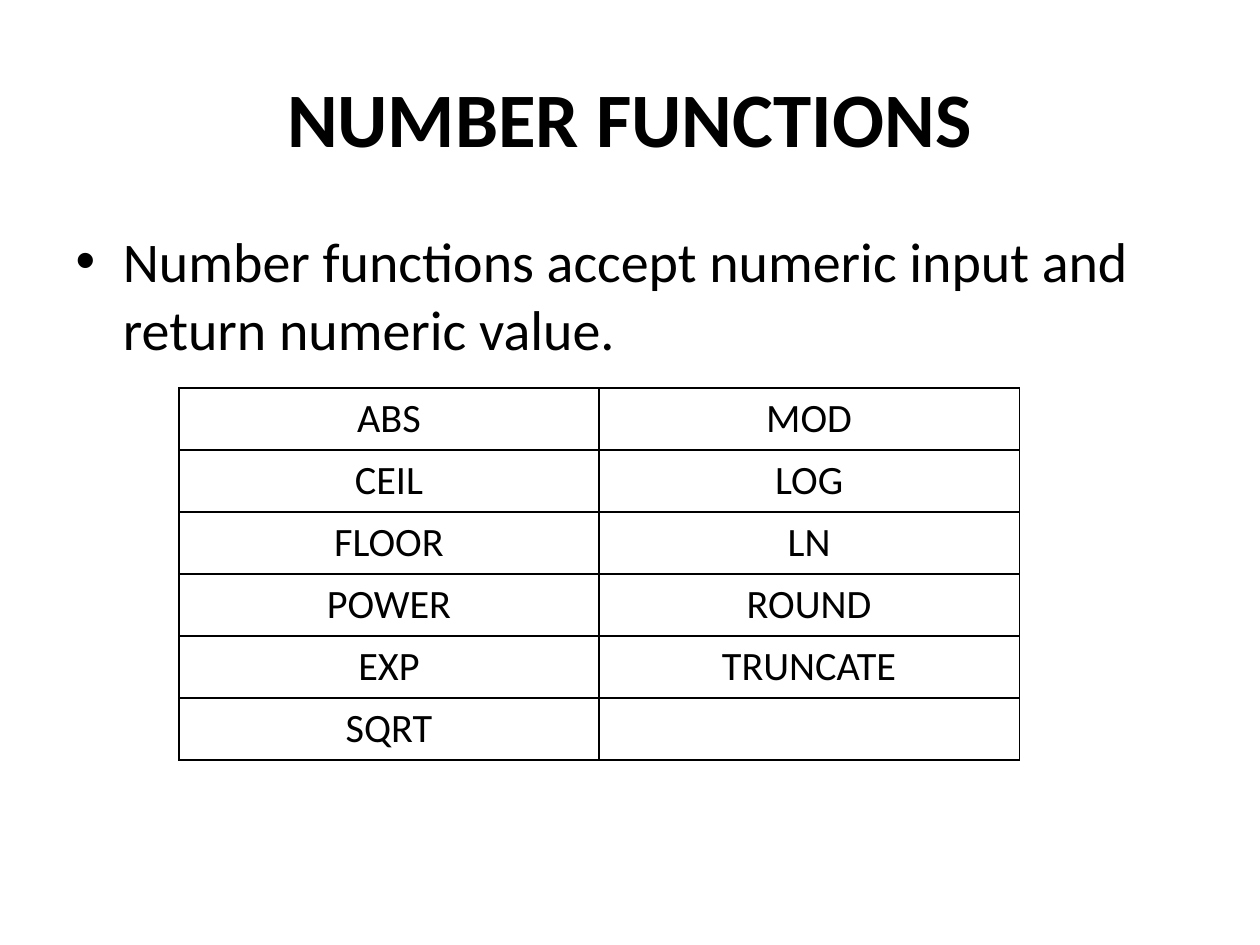
import pptx
import pptx.util
import pptx.dml.color
import pptx.enum.text
import pptx.oxml
import pptx.oxml.ns
from pptx.util import Inches

INK = {"text": "000000", "line": "000000", "back": "FFFFFF"}
ROWS = [
    ("ABS", "MOD"),
    ("CEIL", "LOG"),
    ("FLOOR", "LN"),
    ("POWER", "ROUND"),
    ("EXP", "TRUNCATE"),
    ("SQRT", ""),
]
ALIGN = pptx.enum.text.PP_ALIGN
ANCHOR = pptx.enum.text.MSO_ANCHOR


def color(name):
    return pptx.dml.color.RGBColor.from_string(INK[name])


class Deck:
    face = "Calibri"

    def __init__(self, wide, high):
        self.file = pptx.Presentation()
        self.file.slide_width = Inches(wide)
        self.file.slide_height = Inches(high)
        self.slide = self.file.slides.add_slide(self.file.slide_layouts[1])
        fill = self.slide.background.fill
        fill.solid()
        fill.fore_color.rgb = color("back")

    def style(self, para, size, align, bold=False):
        para.alignment = align
        font = para.font
        font.name, font.size, font.bold = self.face, pptx.util.Pt(size), bold
        font.color.rgb = color("text")

    def place(self, shape, box):
        shape.left, shape.top, shape.width, shape.height = map(Inches, box)

    def title(self, text, box):
        shape = self.slide.shapes.title
        self.place(shape, box)
        frame = shape.text_frame
        frame.text = text
        frame.vertical_anchor = ANCHOR.MIDDLE
        self.style(frame.paragraphs[0], 44, ALIGN.CENTER, bold=True)

    def body(self, items, box):
        shape = self.slide.placeholders[1]
        self.place(shape, box)
        frame = shape.text_frame
        frame.text = "\n".join(items)
        for para in frame.paragraphs:
            self.style(para, 32, ALIGN.LEFT)

    def border(self, cell):
        props = cell._tc.get_or_add_tcPr()
        space = pptx.oxml.ns.nsdecls("a")
        for spot, side in enumerate("LRTB"):
            line = pptx.oxml.parse_xml(
                f'<a:ln{side} {space} w="12700"><a:solidFill>'
                f'<a:srgbClr val="{INK["line"]}"/></a:solidFill></a:ln{side}>'
            )
            props.insert(spot, line)

    def table(self, rows, left, top, width, step):
        frame = self.slide.shapes.add_table(
            len(rows), len(rows[0]), Inches(left), Inches(top),
            Inches(width), Inches(step * len(rows)),
        )
        grid = frame.table
        grid.first_row = grid.horz_banding = False
        for r, row in enumerate(rows):
            for c, text in enumerate(row):
                cell = grid.cell(r, c)
                cell.text = text
                cell.fill.background()
                cell.vertical_anchor = ANCHOR.MIDDLE
                cell.margin_left = cell.margin_right = Inches(0.13)
                cell.margin_top = cell.margin_bottom = Inches(0.05)
                self.style(cell.text_frame.paragraphs[0], 23, ALIGN.CENTER)
                self.border(cell)


def main():
    deck = Deck(10, 7.5)
    deck.title("NUMBER FUNCTIONS", (0.5, 0.3, 9, 1.25))
    deck.body(
        ["Number functions accept numeric input and return numeric value."],
        (0.5, 1.75, 9, 4.95),
    )
    deck.table(ROWS, left=1.42, top=3.08, width=6.67, step=0.49)
    deck.file.save("out.pptx")


if __name__ == "__main__":
    main()
